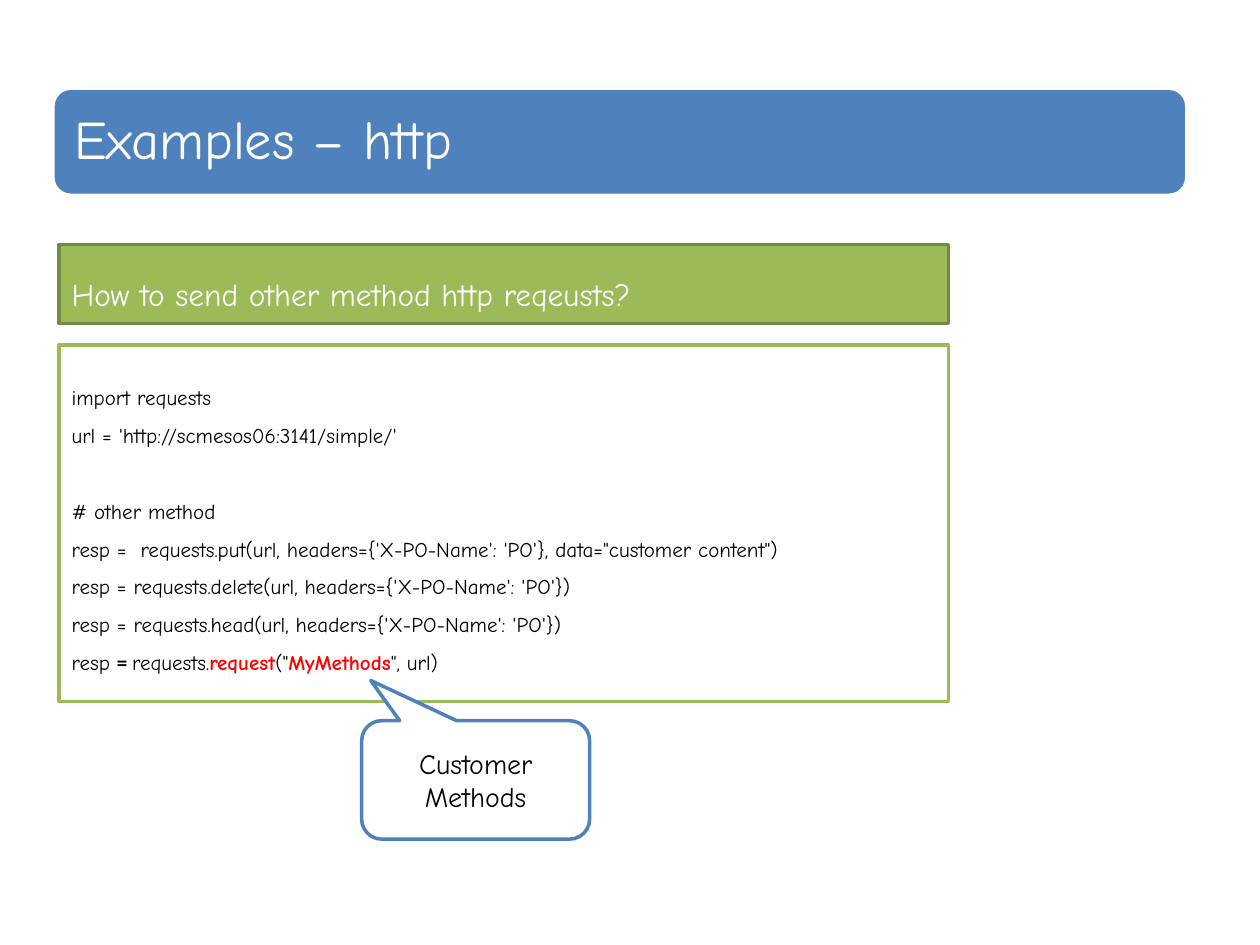
from pptx import Presentation
from pptx.dml.color import RGBColor
from pptx.enum.shapes import MSO_SHAPE
from pptx.enum.text import MSO_ANCHOR, PP_ALIGN
from pptx.util import Inches, Pt

FONT = "Comic Neue"
BLACK, WHITE, RED = "000000", "FFFFFF", "FF0000"
BLUE, GREEN, DARK_GREEN = "4F81BD", "9BBB59", "738A42"

TITLE = "Examples – http"
QUESTION = "How to send other method http reqeusts?"
CALLOUT = "Customer Methods"
PLAIN = {}
EQUALS = {"name": "Calibri", "bold": True}
MARKED = {"bold": True, "color": RED}
IMPORT_LINES = [
    [("import requests", PLAIN)],
    [("url = 'http://scmesos06:3141/simple/'", PLAIN)],
]
METHOD_LINES = [
    [("# other method", PLAIN)],
    [("resp =  requests.put(url, headers={'X-PO-Name': 'PO'}, data=\"customer content\")", PLAIN)],
    [("resp = requests.delete(url, headers={'X-PO-Name': 'PO'})", PLAIN)],
    [("resp = requests.head(url, headers={'X-PO-Name': 'PO'})", PLAIN)],
    [("resp ", PLAIN), ("= ", EQUALS), ("requests.", PLAIN), ("request", MARKED),
     ("(\"", PLAIN), ("MyMethods", MARKED), ("\", url)", PLAIN)],
]
CODE_SIZE, CODE_SPACING, LINE_PITCH = 12, 1.5, 21.6


def rgb(color):
    return RGBColor.from_string(color)


def add_box(shapes, preset, place, fill, line):
    box = shapes.add_shape(preset, *map(Inches, place))
    box.shadow.inherit = False
    box.fill.solid()
    box.fill.fore_color.rgb = rgb(fill)
    box.line.color.rgb = rgb(line)
    box.line.width = Pt(2)
    return box


def write(frame, lines, size, color, spacing=1.0, align=PP_ALIGN.LEFT):
    frame.word_wrap = True
    frame.vertical_anchor = MSO_ANCHOR.MIDDLE
    for index, pieces in enumerate(lines):
        paragraph = frame.add_paragraph() if index else frame.paragraphs[0]
        paragraph.line_spacing = spacing
        paragraph.alignment = align
        for words, changes in pieces:
            run = paragraph.add_run()
            run.text = words
            style = {"name": FONT, "size": Pt(size), "bold": False, "color": color} | changes
            run.font.color.rgb = rgb(style.pop("color"))
            for key, value in style.items():
                setattr(run.font, key, value)


def main():
    deck = Presentation()
    deck.slide_width, deck.slide_height = Inches(10), Inches(7.5)
    shapes = deck.slides.add_slide(deck.slide_layouts[6]).shapes

    banner = shapes.add_group_shape().shapes
    add_box(banner, MSO_SHAPE.ROUNDED_RECTANGLE, (0.42, 0.7, 9, 0.85), BLUE, WHITE)
    title = banner.add_textbox(*map(Inches, (0.46, 0.74, 8.92, 0.77))).text_frame
    for side in ("left", "top", "right", "bottom"):
        setattr(title, f"margin_{side}", Inches(0.13))
    write(title, [[(TITLE, PLAIN)]], 31, WHITE, 0.9)

    question = add_box(shapes, MSO_SHAPE.RECTANGLE, (0.47, 1.94, 7.06, 0.63), GREEN, DARK_GREEN)
    write(question.text_frame, [[(QUESTION, PLAIN)]], 18, WHITE, CODE_SPACING)

    code = add_box(shapes, MSO_SHAPE.RECTANGLE, (0.47, 2.74, 7.06, 2.83), WHITE, GREEN)
    write(code.text_frame, IMPORT_LINES + METHOD_LINES, CODE_SIZE, BLACK, CODE_SPACING)
    code.text_frame.paragraphs[len(IMPORT_LINES)].space_before = Pt(LINE_PITCH)

    callout = add_box(shapes, MSO_SHAPE.ROUNDED_RECTANGULAR_CALLOUT,
                      (2.87, 5.72, 1.81, 0.94), WHITE, BLUE)
    for index, value in enumerate((-0.46, -0.84, 0.17)):
        callout.adjustments[index] = value
    write(callout.text_frame, [[(CALLOUT, PLAIN)]], 16, BLACK, align=PP_ALIGN.CENTER)

    deck.save("out.pptx")


if __name__ == "__main__":
    main()
